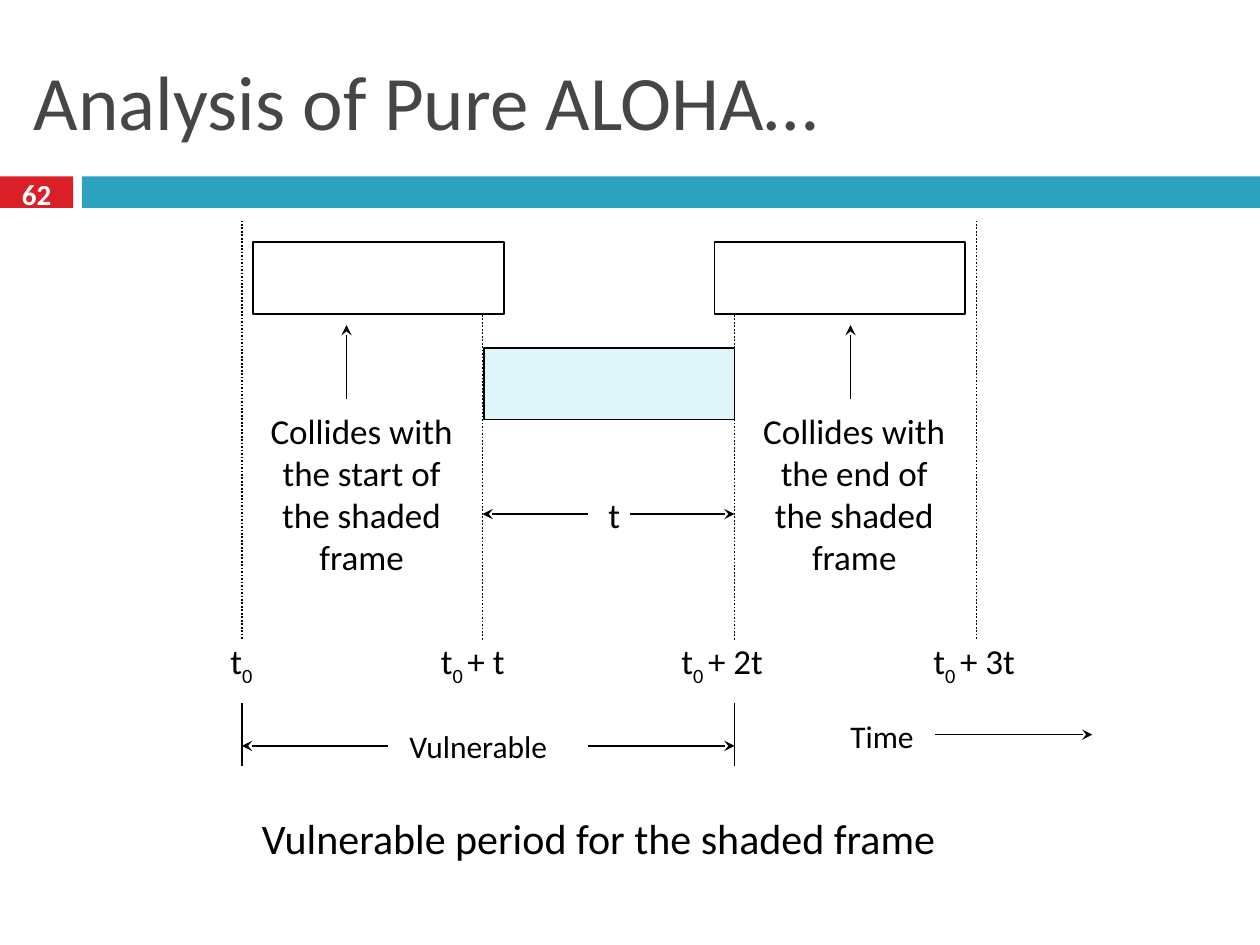
import pptx
import pptx.util
import pptx.dml.color
import pptx.enum.dml
import pptx.enum.shapes
import pptx.enum.text
import pptx.oxml
import pptx.oxml.ns
from pptx.util import Inches

CENTER = pptx.enum.text.PP_ALIGN.CENTER
LEFT = pptx.enum.text.PP_ALIGN.LEFT
MIDDLE = pptx.enum.text.MSO_ANCHOR.MIDDLE
RECT = pptx.enum.shapes.MSO_SHAPE.RECTANGLE
STRAIGHT = pptx.enum.shapes.MSO_CONNECTOR.STRAIGHT
DOTTED = pptx.enum.dml.MSO_LINE.ROUND_DOT
rgb = pptx.dml.color.RGBColor.from_string

prs = pptx.Presentation()
prs.slide_width, prs.slide_height = Inches(10), Inches(7.5)
s = prs.slides.add_slide(prs.slide_layouts[6])


def add_text(x, y, w, h, lines, size, color="000000", align=LEFT, wrap=False):
    """Each line is a list of runs; a run starting with "0" is a subscript."""
    tf = s.shapes.add_textbox(Inches(x), Inches(y), Inches(w), Inches(h)).text_frame
    tf.word_wrap = wrap
    for i, runs in enumerate(lines):
        p = tf.paragraphs[0] if i == 0 else tf.add_paragraph()
        p.alignment = align
        for text in runs:
            r = p.add_run()
            r.text = text
            r.font.name = "Calibri"
            r.font.size = pptx.util.Pt(size)
            r.font.color.rgb = rgb(color)
            if text.startswith("0"):
                r.font._element.set("baseline", "-25000")
    return tf


def add_line(x1, y1, x2, y2, dash=None, arrow=False):
    """Straight line; an arrow points at its second end."""
    c = s.shapes.add_connector(STRAIGHT, Inches(x1), Inches(y1), Inches(x2), Inches(y2))
    c.line.color.rgb = rgb("000000")
    c.line.width = pptx.util.Pt(1)
    if dash:
        c.line.dash_style = dash
    if arrow:
        tail = pptx.oxml.parse_xml(
            '<a:tailEnd %s type="stealth"/>' % pptx.oxml.ns.nsdecls("a"))
        c.line._get_or_add_ln().append(tail)
    c._element.spPr.append(
        pptx.oxml.parse_xml("<a:effectLst %s/>" % pptx.oxml.ns.nsdecls("a")))


# Header bars and the three frames
for x, y, w, h, fill, outline in [
    (0, 1.4, 0.58, 0.25, "DA1F28", None),
    (0.65, 1.4, 9.35, 0.25, "2DA2BF", None),
    (2.01, 1.92, 1.99, 0.57, "FFFFFF", "000000"),
    (5.67, 1.92, 1.99, 0.57, "FFFFFF", "000000"),
    (3.84, 2.76, 1.99, 0.57, "DEF5FA", "000000"),
]:
    sp = s.shapes.add_shape(RECT, Inches(x), Inches(y), Inches(w), Inches(h))
    sp.shadow.inherit = False
    sp.fill.solid()
    sp.fill.fore_color.rgb = rgb(fill)
    if outline:
        sp.line.color.rgb = rgb(outline)
        sp.line.width = pptx.util.Pt(1)
    else:
        sp.line.fill.background()

# Slide number and title
tf = add_text(0, 1.37, 0.58, 0.33, [["62"]], 16.6, "FFFFFF", CENTER, True)
tf.margin_left = tf.margin_right = tf.margin_top = tf.margin_bottom = 0
tf.vertical_anchor = MIDDLE
tf.paragraphs[0].runs[0].font.bold = True
tf = add_text(0.17, 0.25, 9.67, 1.08, [["Analysis of Pure ALOHA…"]], 44, "464646", wrap=True)
tf.vertical_anchor = MIDDLE

# Time marks: dotted line and label
t0, t1, t2, t3 = 1.92, 3.83, 5.83, 7.75
for x, top, label_x, label_w, runs in [
    (t0, 1.75, 1.73, 0.38, ["t", "0"]),
    (t1, 2.5, 3.4, 0.74, ["t", "0 ", "+ t"]),
    (t2, 2.5, 5.31, 0.9, ["t", "0 ", "+ 2t"]),
    (t3, 1.75, 7.31, 0.9, ["t", "0 ", "+ 3t"]),
]:
    add_line(x, top, x, 5.08, dash=DOTTED)
    add_text(label_x, 5.03, label_w, 0.43, [runs], 20)

# Collision notes with arrows up to the frames
for x, arrow_x, part in [(1.99, 2.75, "start"), (5.9, 6.75, "end")]:
    add_line(arrow_x, 3.17, arrow_x, 2.58, arrow=True)
    note = [["Collides with"], [f"the {part} of"], ["the shaded"], ["frame"]]
    add_text(x, 3.2, 1.76, 1.43, note, 20, align=CENTER)

# End marks of the vulnerable period
for x in (t0, t2):
    add_line(x, 5.58, x, 6.08)

# Horizontal arrows: frame time, vulnerable period, time axis
for x1, x2, y in [
    (4.67, t1, 4.08), (5, t2, 4.08),
    (3.08, t0, 5.92), (4.67, t2, 5.92),
    (7.42, 8.67, 5.83),
]:
    add_line(x1, y, x2, y, arrow=True)

# Arrow labels and caption
for x, y, w, h, text, size in [
    (4.73, 3.87, 0.28, 0.43, "t", 20),
    (3.15, 5.72, 1.4, 0.4, "Vulnerable", 18),
    (6.65, 5.64, 0.76, 0.4, "Time", 18),
    (1.98, 6.4, 5.98, 0.5, "Vulnerable period for the shaded frame", 24),
]:
    add_text(x, y, w, h, [[text]], size)

prs.save("out.pptx")
